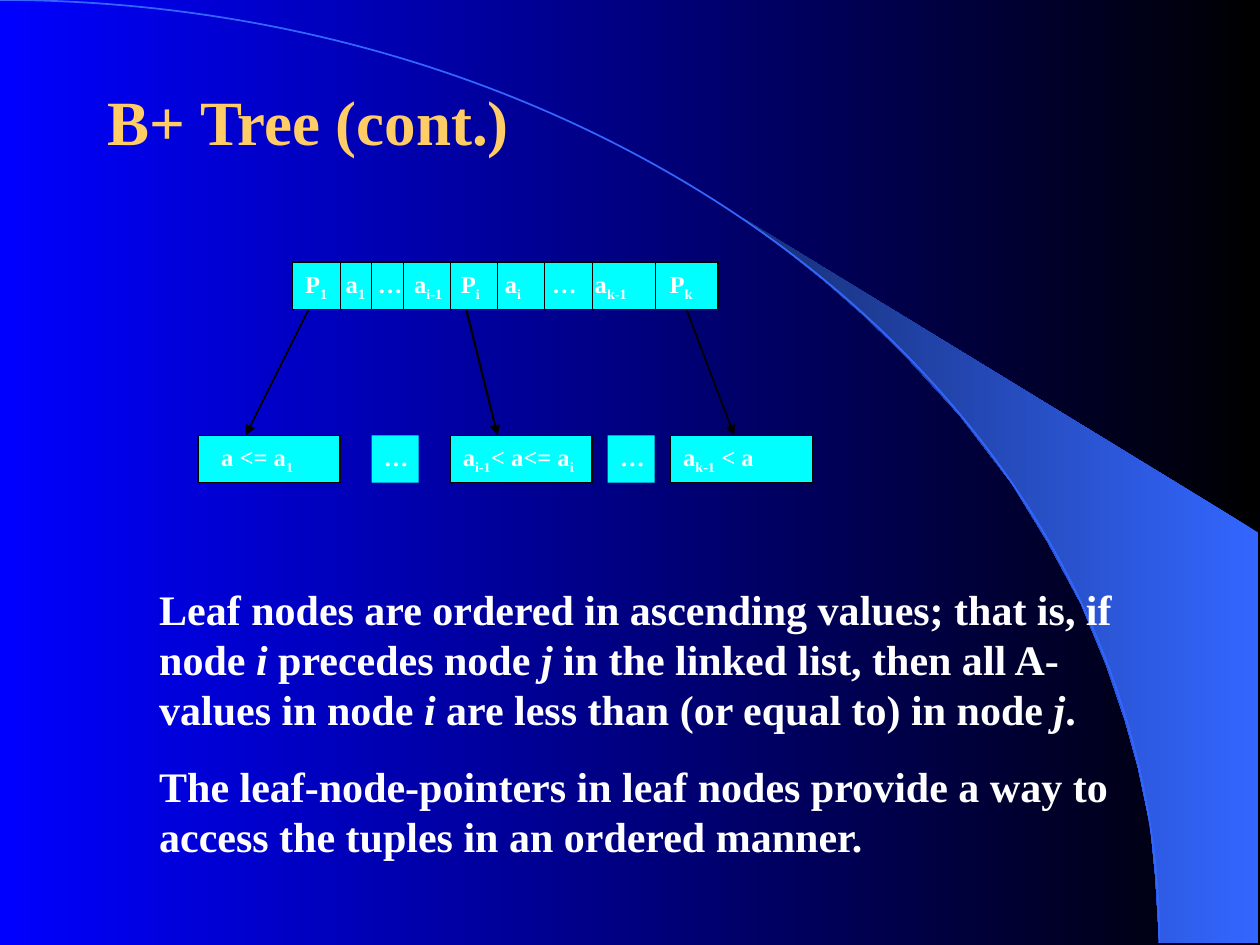
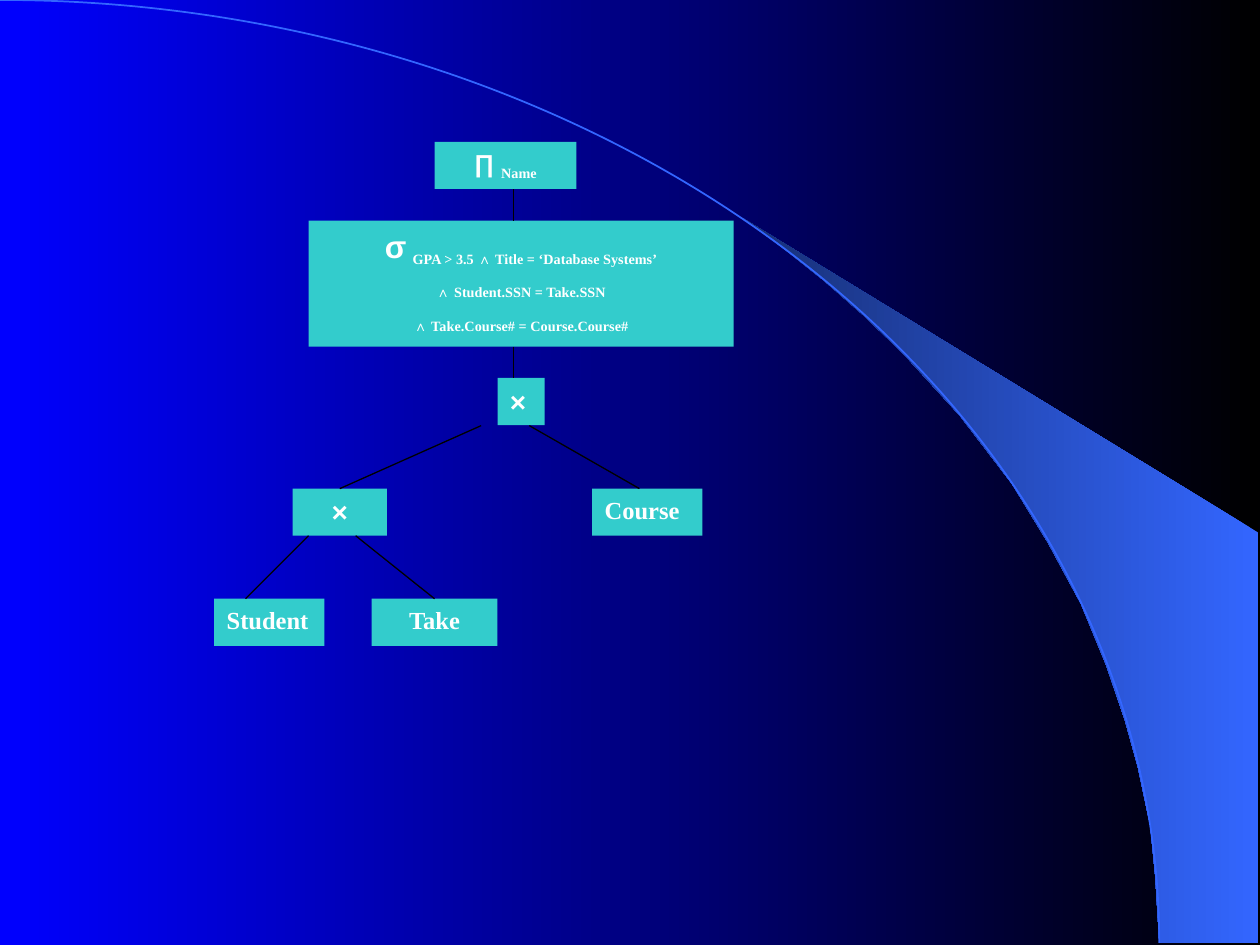
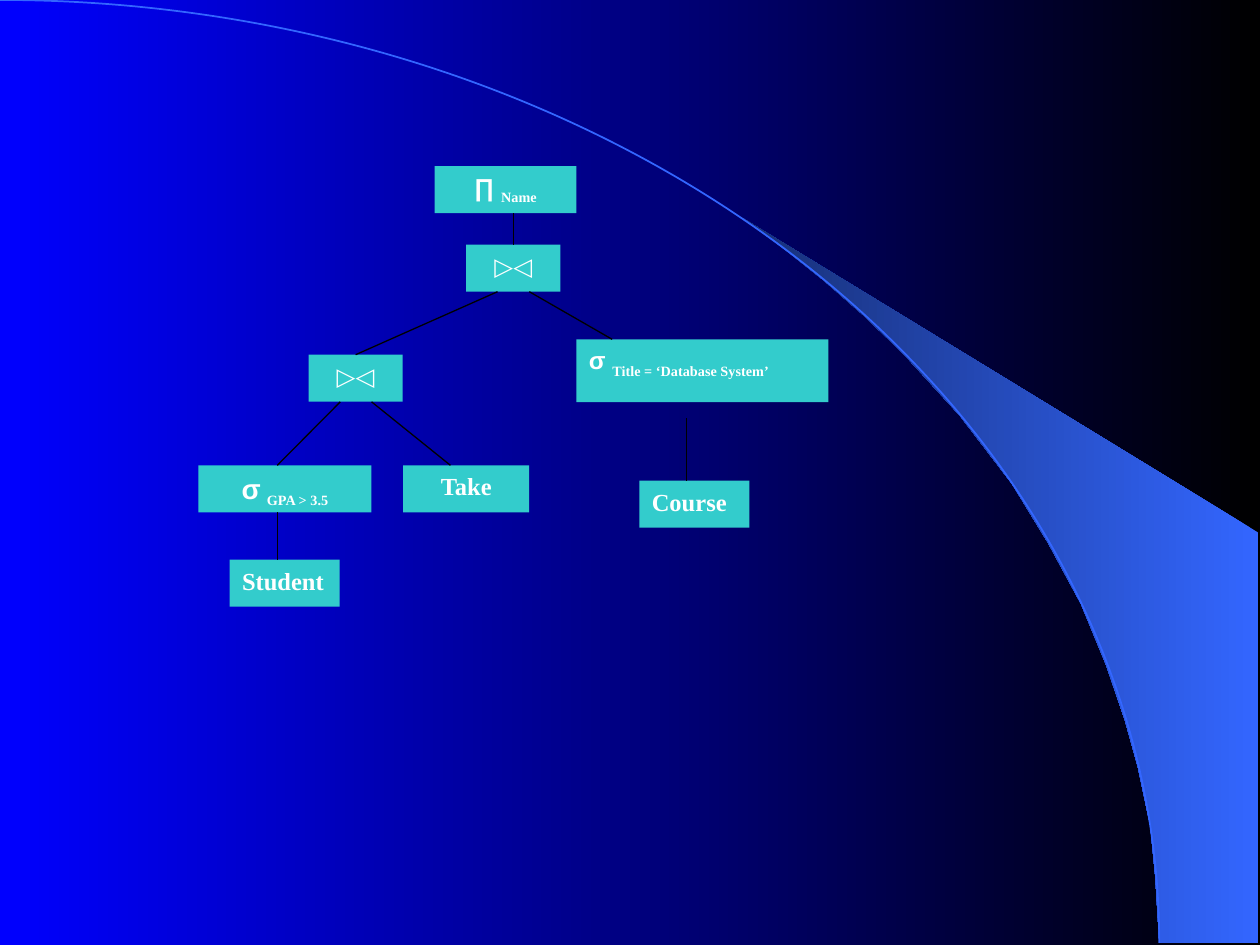
"""Build three slides on B+ trees and relational query trees."""
from lxml import etree
from pptx import Presentation
from pptx import util as u
from pptx.dml.color import RGBColor
from pptx.enum import shapes, text
from pptx.oxml.ns import qn

rgb = RGBColor.from_string
LEFT, CENTER = text.PP_ALIGN.LEFT, text.PP_ALIGN.CENTER
BLACK, WHITE, BLUE, GOLD = "000000", "FFFFFF", "3366FF", "FFCC66"
CYAN, TEAL = "00FFFF", "33CCCC"
SERIF, SANS = "Times New Roman", "Arial"
ROW_H = 0.95

SUB = dict(sub=True)
ITALIC = dict(italic=True)
OP = dict(font=SANS)
OP_16 = dict(font=SANS, size=16)
OP_18 = dict(font=SANS, size=18)
OP_SUB = dict(font=SANS, sub=True)


def add_text(s, paras, l, t, w, h=ROW_H, fill=None, line=None, size=14, color=WHITE,
             align=LEFT, anchor=text.MSO_ANCHOR.TOP, left=0.25, before=0, tabs=()):
    """Add a text box, or a filled rectangle, holding paragraphs of (text, style) runs."""
    place = [u.Cm(v) for v in (l, t, w, h)]
    if fill:
        sp = s.shapes.add_shape(shapes.MSO_SHAPE.RECTANGLE, *place)
        sp.shadow.inherit = False
        sp.fill.solid()
        sp.fill.fore_color.rgb = rgb(fill)
        if line:
            sp.line.color.rgb = rgb(line)
            sp.line.width = u.Pt(1)
        else:
            sp.line.fill.background()
    else:
        sp = s.shapes.add_textbox(*place)
    tf = sp.text_frame
    tf.word_wrap = True
    tf.vertical_anchor = anchor
    tf.margin_left = u.Cm(left)
    for i, runs in enumerate(paras):
        p = tf.add_paragraph() if i else tf.paragraphs[0]
        p.alignment = align
        p.space_before = u.Pt(before)
        if tabs:
            stops = etree.SubElement(p._p.get_or_add_pPr(), qn("a:tabLst"))
            for x in tabs:
                etree.SubElement(stops, qn("a:tab"), pos=str(u.Cm(x)), algn="l")
        for content, style in runs:
            r = p.add_run()
            r.text = content
            r.font.name = style.get("font", SERIF)
            r.font.size = u.Pt(style.get("size", size))
            r.font.bold = True
            r.font.italic = style.get("italic", False)
            r.font.color.rgb = rgb(color)
            if style.get("sub"):
                r.font._element.set("baseline", "-25000")
    return sp


def add_line(s, x1, y1, x2, y2, width=0.75, arrow=False, target=None):
    """Add a black line, joined to the top of the target when there is one."""
    c = s.shapes.add_connector(shapes.MSO_CONNECTOR.STRAIGHT, *[u.Cm(v) for v in (x1, y1, x2, y2)])
    if target is not None:
        c.end_connect(target, 0)
    c.line.color.rgb = rgb(BLACK)
    c.line.width = u.Pt(width)
    if arrow:
        etree.SubElement(c.line._get_or_add_ln(), qn("a:tailEnd"), type="triangle")
    etree.SubElement(c._element.spPr, qn("a:effectLst"))


prs = Presentation()
prs.slide_width, prs.slide_height = u.Cm(25.4), u.Cm(19.05)
tree_slide, plan_slide, better_slide = [prs.slides.add_slide(prs.slide_layouts[6]) for _ in range(3)]

# Shared backdrop
swoosh = [(23.37, 19), (25.37, 19.02), (25.37, 10.74), (14.96, 4.39), (15.85, 5.05), (16.59, 5.64),
          (17.4, 6.35), (18.19, 7.11), (19.35, 8.38), (20.4, 9.75), (21.13, 10.95), (21.79, 12.17),
          (22.3, 13.41), (22.68, 14.53), (22.94, 15.47), (23.19, 16.66), (23.29, 17.68)]
points = [(u.Cm(x), u.Cm(y)) for x, y in swoosh]
builder = tree_slide.shapes.build_freeform(*points[0])
builder.add_line_segments(points[1:], close=True)
wedge = builder.convert_to_shape()
wedge.line.fill.background()
arc = tree_slide.shapes.add_shape(shapes.MSO_SHAPE.ARC, u.Cm(-23.37), 0, u.Cm(46.74), u.Cm(38.02))
arc.fill.background()
arc.line.color.rgb = rgb(BLUE)
arc.line.width = u.Pt(1)
for sp in (wedge, arc):
    sp.shadow.inherit = False
    prs.slide_master.shapes._spTree.append(sp._element)
for fill, ends in ((prs.slide_master.background.fill, (BLACK, "0000FF")), (wedge.fill, (BLUE, "172F75"))):
    fill.gradient()
    fill.gradient_angle = 180
    for stop, color in zip(fill.gradient_stops, ends):
        stop.color.rgb = rgb(color)

# B+ tree node and leaves
s = tree_slide
add_text(s, [[("B+ Tree (cont.)", {})]], 1.92, 1.7, 21.8, 1.47, size=36, color=GOLD,
         anchor=text.MSO_ANCHOR.MIDDLE)
node_top, leaf_top = 5.29, 8.78
node_bottom = node_top + ROW_H
node = [("P", {}), ("1", SUB), ("\ta", {}), ("1", SUB), ("\t…\ta", {}), ("i-1", SUB), ("\tP", {}),
        ("i", SUB), ("\ta", {}), ("i", SUB), ("\t…\ta", {}), ("k-1", SUB), ("\tP", {}), ("k", SUB)]
add_text(s, [node], 5.9, node_top, 8.57, fill=CYAN, line=BLACK,
         tabs=(0.82, 1.47, 2.2, 3.14, 4.03, 4.98, 5.84, 7.35))
for x in (6.86, 7.49, 8.13, 9.08, 10.03, 10.98, 11.94, 13.21):
    add_line(s, x, node_top, x, node_bottom)
leaves = [(3.99, 0.47, [("a <= a", {}), ("1", SUB)]),
          (9.08, 0.25, [("a", {}), ("i-1", SUB), ("< a<= a", {}), ("i", SUB)]),
          (13.52, 0.25, [("a", {}), ("k-1", SUB), (" < a", {})])]
for x, left, runs in leaves:
    add_text(s, [runs], x, leaf_top, 2.86, fill=CYAN, line=BLACK, left=left)
for x in (7.49, 12.25):
    add_text(s, [[("…", {})]], x, leaf_top, ROW_H, fill=CYAN)
for x1, x2, width in ((6.22, 4.95, 1), (9.4, 10.03, 1.25), (13.84, 14.8, 1)):
    add_line(s, x1, node_bottom, x2, leaf_top, width=width, arrow=True)
ordering = [("Leaf nodes are ordered in ascending values; that is, if node ", {}), ("i", ITALIC),
            (" precedes node ", {}), ("j", ITALIC), (" in the linked list, then all A-values in node ", {}),
            ("i", ITALIC), (" are less than (or equal to) in node ", {}), ("j", ITALIC), (".", {})]
access = [("The leaf-node-pointers in leaf nodes provide a way to access the tuples in an ordered manner.", {})]
add_text(s, [ordering, access], 2.96, 11.63, 20.52, 5.87, size=24, before=15)

# Query trees
project = [[("∏ ", OP), ("Name", SUB)]]
product = [[("×", OP_16)]]
join = [[("▷◁", OP)]]
course, student, take = [[[(name, {})]] for name in ("Course", "Student", "Take")]
select_all = [[("σ", OP_18), (" ", {}), ("GPA > 3.5 ", SUB), ("∧", OP_SUB), (" Title = ‘Database Systems’", SUB)],
              [("∧", OP_SUB), (" Student.SSN = Take.SSN", SUB)],
              [("∧", OP_SUB), (" Take.Course# = Course.Course#", SUB)]]
select_gpa = [[("σ", OP_16), (" ", {}), ("GPA > 3.5", SUB)]]
select_title = [[("σ ", OP), ("Title = ‘Database System’", SUB)]]

plan_boxes = [("project", project, 8.76, 2.86, 2.86, ROW_H, CENTER),
              ("select", select_all, 6.22, 4.45, 8.57, 2.54, CENTER),
              ("product", product, 10.03, 7.62, 0.95, ROW_H, LEFT),
              ("inner", product, 5.9, 9.85, 1.9, ROW_H, CENTER),
              ("course", course, 11.94, 9.85, 2.22, ROW_H, LEFT),
              ("student", student, 4.32, 12.07, 2.22, ROW_H, LEFT),
              ("take", take, 7.49, 12.07, 2.54, ROW_H, CENTER)]
plan_lines = [(10.35, 3.81, 10.35, 4.45, None), (10.35, 6.99, 10.35, 7.62, None),
              (9.7, 8.58, 6.85, 9.85, "inner"), (10.67, 8.58, 12.89, 9.85, None),
              (6.22, 10.8, 4.95, 12.07, None), (7.17, 10.8, 8.76, 12.07, "take")]
better_boxes = [("project", project, 8.76, 3.35, 2.86, ROW_H, CENTER),
                ("join", join, 9.4, 4.93, 1.9, ROW_H, CENTER),
                ("inner", join, 6.22, 7.15, 1.9, ROW_H, CENTER),
                ("gpa", select_gpa, 4, 9.38, 3.49, ROW_H, CENTER),
                ("course", course, 12.89, 9.69, 2.22, ROW_H, LEFT),
                ("student", student, 4.63, 11.28, 2.22, ROW_H, LEFT),
                ("take", take, 8.13, 9.38, 2.54, ROW_H, CENTER),
                ("title", select_title, 11.62, 6.84, 5.08, 1.27, LEFT)]
better_lines = [(10.35, 4.3, 10.35, 4.93, "join"), (10.03, 5.88, 7.17, 7.15, "inner"),
                (10.67, 5.88, 12.34, 6.84, None), (6.86, 8.1, 5.59, 9.38, None),
                (7.49, 8.1, 9.08, 9.38, None), (5.59, 10.33, 5.59, 11.28, None),
                (13.84, 8.43, 13.84, 9.69, None)]
for s, boxes, lines in ((plan_slide, plan_boxes, plan_lines), (better_slide, better_boxes, better_lines)):
    placed = {name: add_text(s, paras, l, t, w, h, fill=TEAL, align=align)
              for name, paras, l, t, w, h, align in boxes}
    for x1, y1, x2, y2, name in lines:
        add_line(s, x1, y1, x2, y2, target=placed.get(name))

prs.save("out.pptx")
